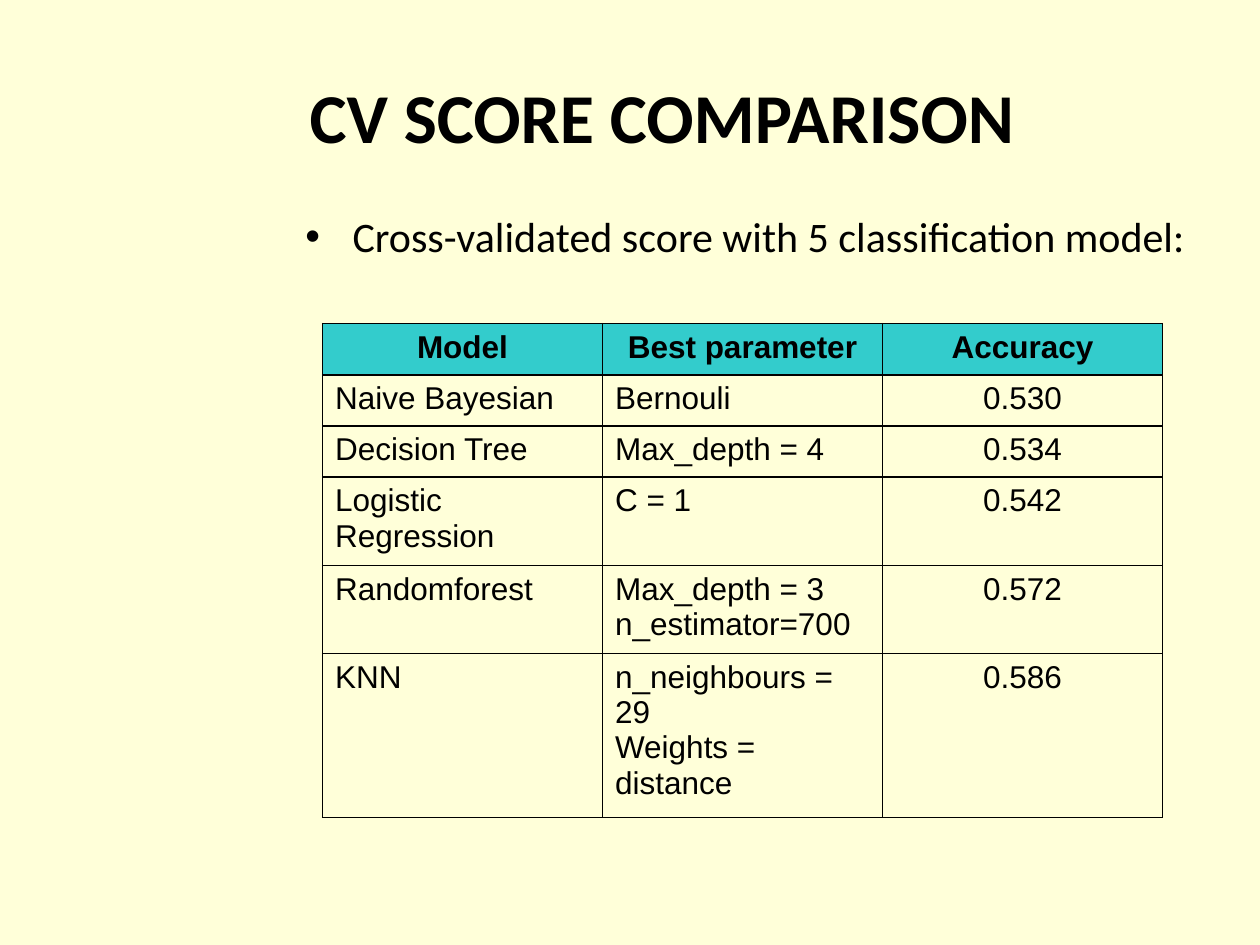
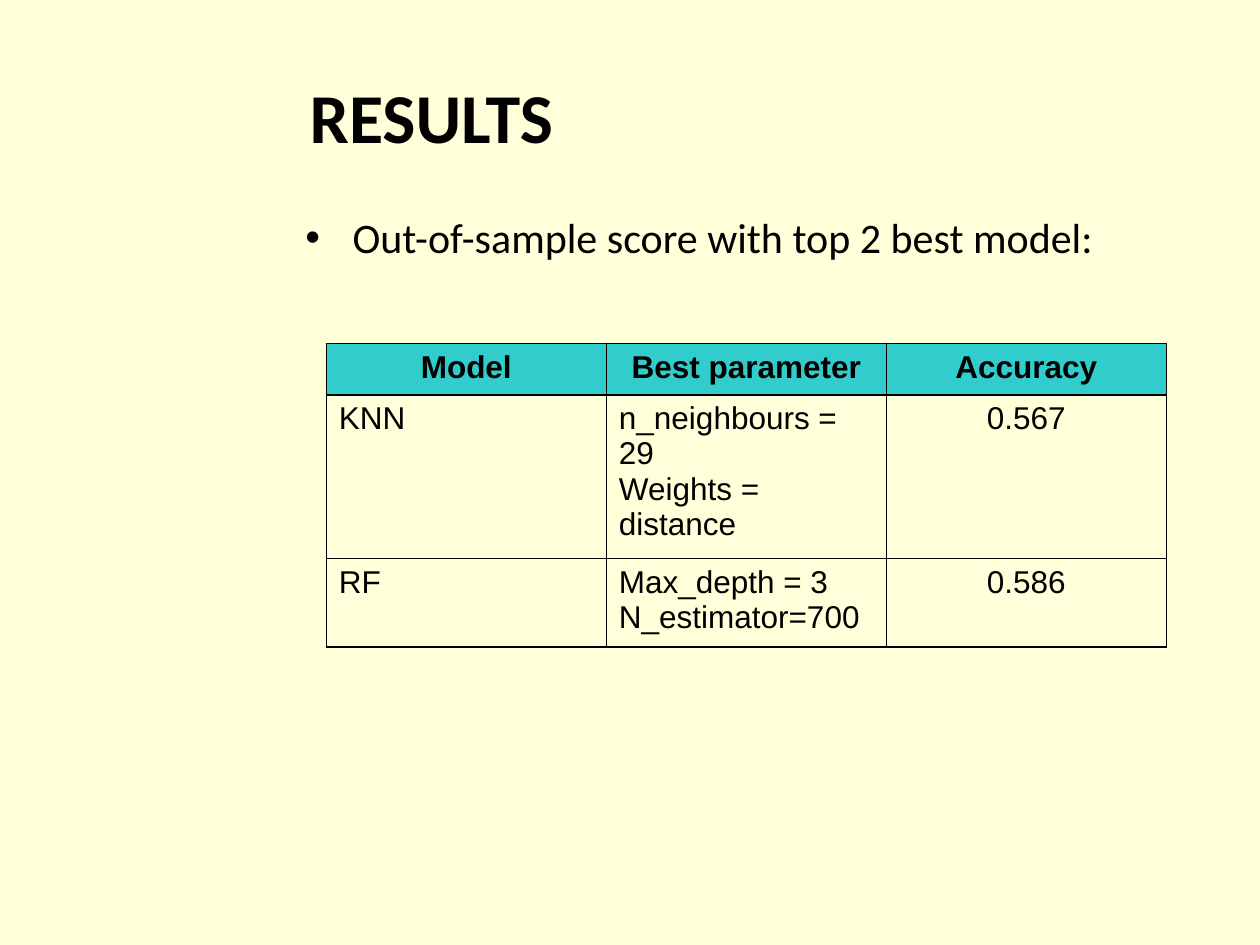
"""Build two slides that compare classification models in tables."""
from lxml import etree
from pptx import Presentation
from pptx.dml.color import RGBColor
from pptx.enum.text import MSO_ANCHOR, PP_ALIGN
from pptx.oxml.ns import qn
from pptx.util import Pt

LEFT, CENTER = PP_ALIGN.LEFT, PP_ALIGN.CENTER
TOP, BOTTOM = MSO_ANCHOR.TOP, MSO_ANCHOR.BOTTOM

COLORS = {"background": "FFFFD9", "header": "33CCCC", "text": "000000", "border": "000000"}
TITLE_FONT, TABLE_FONT = "Calibri", "Arial"
COLUMNS = ("Model", "Best parameter", "Accuracy")
COLUMN_WIDTH, ROW_HEIGHT = 160, 29.2

SLIDES = [
    {
        "title": "CV SCORE COMPARISON",
        "bullet": "Cross-validated score with 5 classification model:",
        "bullet_top": 120.5,
        "table_at": (184.3, 185),
        "rows": [
            ("Naive Bayesian", "Bernouli", "0.530"),
            ("Decision Tree", "Max_depth = 4", "0.534"),
            ("Logistic Regression", "C = 1", "0.542"),
            ("Randomforest", "Max_depth = 3\nn_estimator=700", "0.572"),
            ("KNN", "n_neighbours = 29\nWeights = distance", "0.586"),
        ],
    },
    {
        "title": "RESULTS",
        "bullet": "Out-of-sample score with top 2 best model:",
        "bullet_top": 121,
        "table_at": (186.5, 196.4),
        "rows": [
            ("KNN", "n_neighbours = 29\nWeights = distance", "0.567"),
            ("RF", "Max_depth = 3\nN_estimator=700", "0.586"),
        ],
    },
]


def format_text(text_frame, font_name, size, bold=False, alignment=LEFT):
    for paragraph in text_frame.paragraphs:
        paragraph.alignment = alignment
        for run in paragraph.runs:
            run.font.name = font_name
            run.font.size = Pt(size)
            run.font.bold = bold
            run.font.color.rgb = RGBColor.from_string(COLORS["text"])


def add_text(slide, text, left, top, width, height, anchor=TOP):
    text_frame = slide.shapes.add_textbox(Pt(left), Pt(top), Pt(width), Pt(height)).text_frame
    text_frame.word_wrap = True
    text_frame.vertical_anchor = anchor
    text_frame.margin_left = text_frame.margin_right = 0
    text_frame.margin_top = text_frame.margin_bottom = 0
    text_frame.text = text
    return text_frame


def add_bullet(paragraph, indent, hanging):
    properties = paragraph._p.get_or_add_pPr()
    properties.set("marL", str(Pt(indent)))
    properties.set("indent", str(-Pt(hanging)))
    etree.SubElement(properties, qn("a:buFont"), typeface="Arial")
    etree.SubElement(properties, qn("a:buChar"), char="•")


def add_borders(cell):
    properties = cell._tc.get_or_add_tcPr()
    for side in ("L", "R", "T", "B"):
        line = etree.SubElement(properties, qn(f"a:ln{side}"), w=str(Pt(1)))
        fill = etree.SubElement(line, qn("a:solidFill"))
        etree.SubElement(fill, qn("a:srgbClr"), val=COLORS["border"])


def add_score_table(slide, rows, left, top):
    records = [COLUMNS, *rows]
    table = slide.shapes.add_table(
        len(records), len(COLUMNS), Pt(left), Pt(top),
        Pt(COLUMN_WIDTH * len(COLUMNS)), Pt(ROW_HEIGHT * len(records)),
    ).table
    table.first_row = table.horz_banding = False
    for row_index, record in enumerate(records):
        is_header = row_index == 0
        for column_index, text in enumerate(record):
            cell = table.cell(row_index, column_index)
            cell.text_frame.text = text
            is_centered = is_header or COLUMNS[column_index] == "Accuracy"
            format_text(cell.text_frame, TABLE_FONT, 18, is_header, CENTER if is_centered else LEFT)
            add_borders(cell)
            if is_header:
                cell.fill.solid()
                cell.fill.fore_color.rgb = RGBColor.from_string(COLORS["header"])
            else:
                cell.fill.background()


def add_slide(presentation, content):
    slide = presentation.slides.add_slide(presentation.slide_layouts[6])
    title = add_text(slide, content["title"], 177, 22.3, 474, 67.7, BOTTOM)
    format_text(title, TITLE_FONT, 40, bold=True)
    bullet = add_text(slide, content["bullet"], 167, content["bullet_top"], 540, 30)
    add_bullet(bullet.paragraphs[0], 34.5, 27)
    format_text(bullet, TITLE_FONT, 24)
    add_score_table(slide, content["rows"], *content["table_at"])


def main():
    presentation = Presentation()
    presentation.slide_width, presentation.slide_height = Pt(720), Pt(540)
    background = presentation.slide_master.background.fill
    background.solid()
    background.fore_color.rgb = RGBColor.from_string(COLORS["background"])
    for content in SLIDES:
        add_slide(presentation, content)
    presentation.save("out.pptx")


if __name__ == "__main__":
    main()
